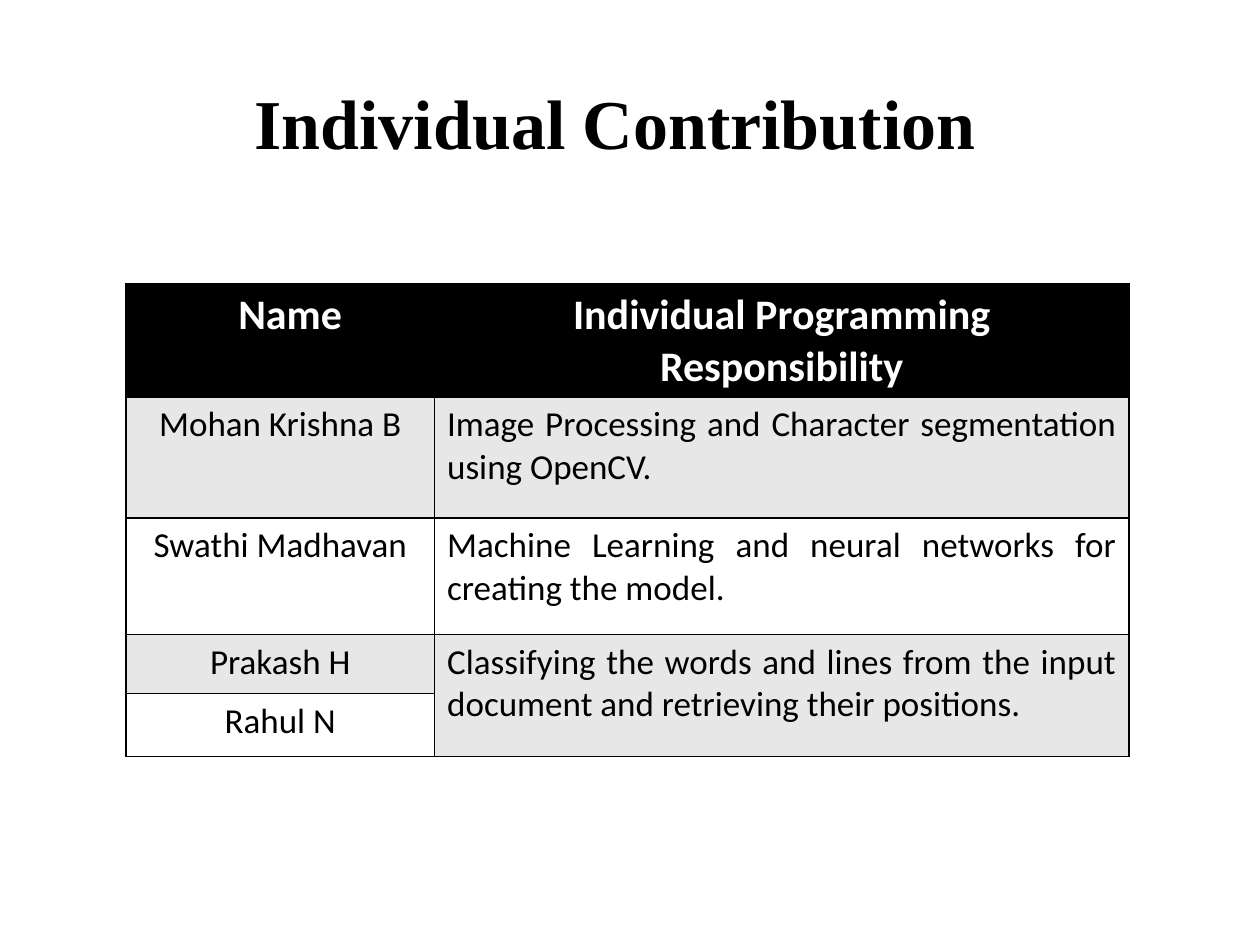
from dataclasses import dataclass

from lxml import etree
from pptx import Presentation
from pptx import util as u
from pptx.dml.color import RGBColor
from pptx.enum import text
from pptx.oxml.ns import qn


# Colours, fonts and type sizes
@dataclass(frozen=True)
class Theme:
    ink: str = "000000"
    paper: str = "FFFFFF"
    band: str = "E7E7E7"
    serif: str = "Times New Roman"
    sans: str = "Calibri"
    title: int = 40
    head: int = 24
    body: int = 20
    rule: int = 1


class Deck:
    def __init__(self, theme):
        self.theme = theme
        self.prs = Presentation()
        self.prs.slide_width, self.prs.slide_height = u.Cm(25.4), u.Cm(19.05)
        self.slide = self.prs.slides.add_slide(self.prs.slide_layouts[6])

    def font(self, para, name, size, color, bold):
        font = para.font
        font.name, font.size, font.bold = name, u.Pt(size), bold
        font.color.rgb = RGBColor.from_string(color)

    def title(self, words, *box):
        frame = self.slide.shapes.add_textbox(*map(u.Cm, box)).text_frame
        frame.word_wrap = False
        frame.auto_size = text.MSO_AUTO_SIZE.SHAPE_TO_FIT_TEXT
        para = frame.paragraphs[0]
        para.text = words
        self.font(para, self.theme.serif, self.theme.title, self.theme.ink, True)

    def border(self, cell):
        props = cell._tc.get_or_add_tcPr()
        for spot, side in enumerate(("lnL", "lnR", "lnT", "lnB")):
            line = etree.Element(qn(f"a:{side}"), w=str(u.Pt(self.theme.rule)))
            fill = etree.SubElement(line, qn("a:solidFill"))
            etree.SubElement(fill, qn("a:srgbClr"), val=self.theme.ink)
            props.insert(spot, line)

    def cell(self, cell, words, fill, align, head):
        theme = self.theme
        cell.fill.solid()
        cell.fill.fore_color.rgb = RGBColor.from_string(fill)
        self.border(cell)
        para = cell.text_frame.paragraphs[0]
        para.text, para.alignment = words, align
        size, color = (theme.head, theme.paper) if head else (theme.body, theme.ink)
        self.font(para, theme.sans, size, color, head)

    def table(self, rows, left, top, wide, high):
        frame = self.slide.shapes.add_table(
            len(rows), len(wide), u.Cm(left), u.Cm(top),
            u.Cm(sum(wide)), u.Cm(sum(high)))
        table = frame.table
        for col, width in zip(table.columns, wide):
            col.width = u.Cm(width)
        for row, height in zip(table.rows, high):
            row.height = u.Cm(height)
        for r, row in enumerate(rows):
            head = r == 0
            fill = self.theme.ink if head else (self.theme.paper, self.theme.band)[r % 2]
            for c, words in enumerate(row):
                align = text.PP_ALIGN.JUSTIFY if c and not head else text.PP_ALIGN.CENTER
                self.cell(table.cell(r, c), words, fill, align, head)
        return table


def main():
    deck = Deck(Theme())

    # Heading
    deck.title("Individual Contribution", 4.88, 1.47, 15.21, 1.96)

    # Who did what
    rows = [
        ("Name", "Individual Programming Responsibility"),
        ("Mohan Krishna B", "Image Processing and Character segmentation using OpenCV."),
        ("Swathi Madhavan", "Machine Learning and neural networks for creating the model."),
        ("Prakash H", "Classifying the words and lines from the input document "
                      "and retrieving their positions."),
        ("Rahul N", ""),
    ]
    table = deck.table(rows, 2.54, 5.72, (6.22, 14), (2.21, 2.44, 2.34, 1.19, 1.27))
    table.cell(0, 0).margin_left = u.Cm(0.65)

    # The last two people share one task
    table.cell(3, 1).merge(table.cell(4, 1))

    deck.prs.save("out.pptx")


if __name__ == "__main__":
    main()
